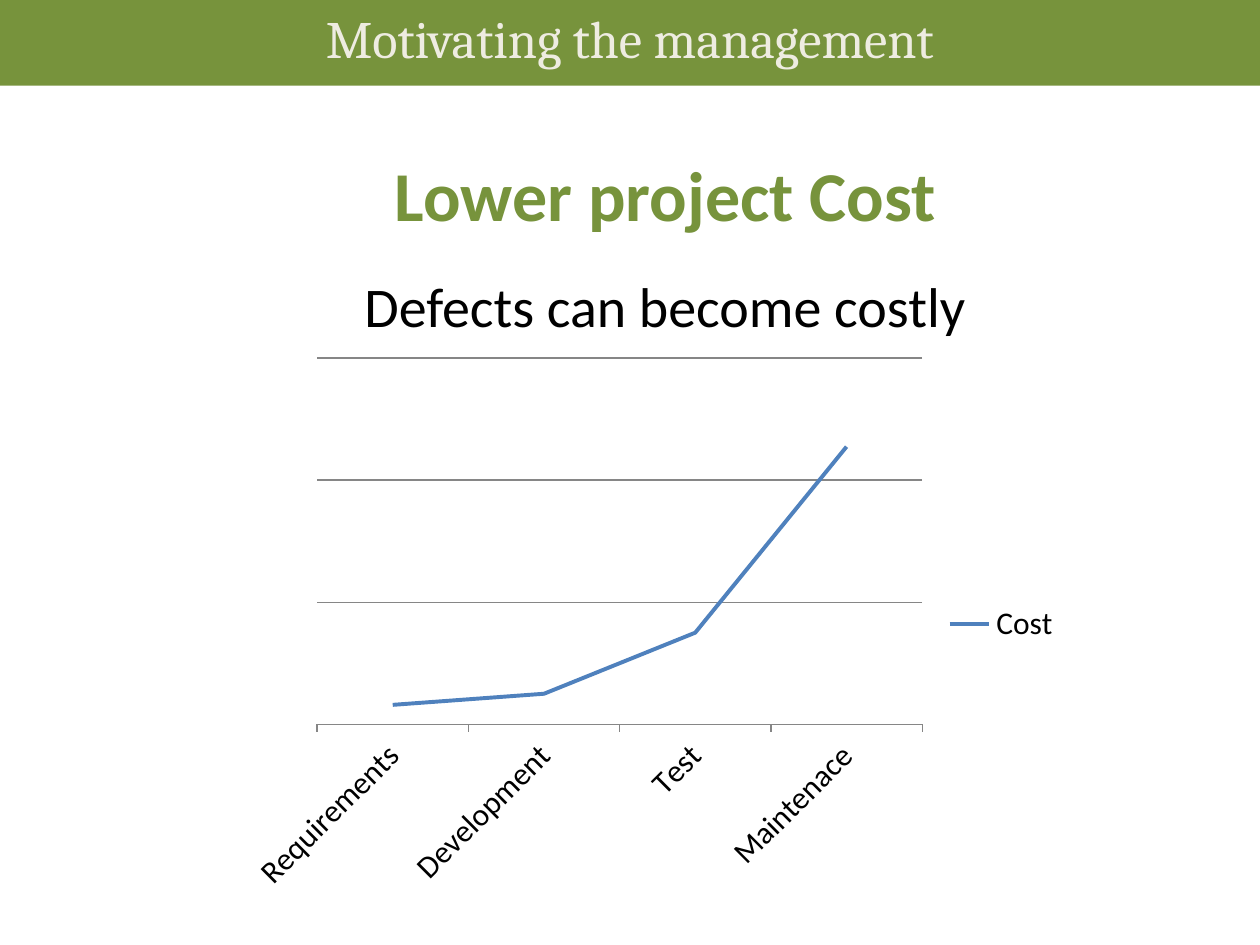
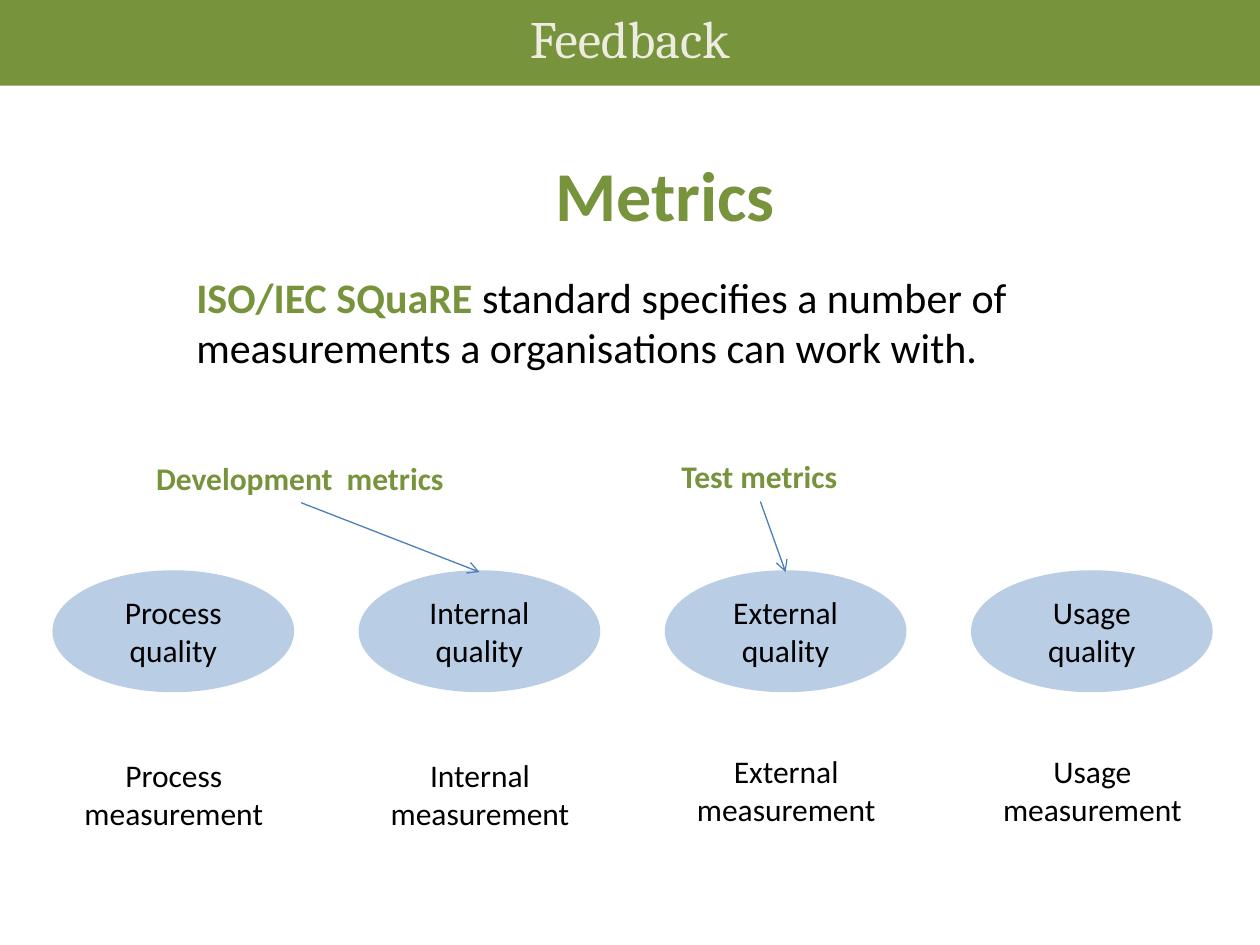
from lxml import etree
from pptx import Presentation
from pptx.chart.data import CategoryChartData
from pptx.dml.color import RGBColor
from pptx.enum import chart as charts, shapes, text
from pptx.oxml import parse_xml
from pptx.oxml.ns import nsdecls, qn
from pptx.util import Inches, Pt

GREEN = RGBColor(0x77, 0x93, 0x3C)
CREAM = RGBColor(0xEE, 0xEC, 0xE1)
BLACK = RGBColor(0, 0, 0)
PALE_BLUE = RGBColor(0xB9, 0xCD, 0xE5)
CHART_BLUE = RGBColor(0x4F, 0x81, 0xBD)
ARROW_BLUE = RGBColor(0x4B, 0x7E, 0xBC)
GREY = RGBColor(0x86, 0x86, 0x86)
CENTER = text.PP_ALIGN.CENTER


def style(paragraph, size, color=BLACK, bold=False, font="Calibri", align=CENTER):
    paragraph.alignment = align
    for run in paragraph.runs:
        run.font.size = Pt(size)
        run.font.name = font
        run.font.bold = bold
        run.font.color.rgb = color


def add_topic_slide(band_title, topic, height):
    """Add the band and body text; return the slide and an empty second paragraph."""
    slide = presentation.slides.add_slide(presentation.slide_layouts[6])
    body = slide.shapes.add_textbox(Inches(1.46), Inches(1.15), Inches(7.64), Inches(height))
    frame = body.text_frame
    frame.word_wrap = True
    frame.text = topic
    style(frame.paragraphs[0], 40, GREEN, True)
    detail = frame.add_paragraph()
    for paragraph in frame.paragraphs:
        paragraph.space_before = Pt(6.4)
        paragraph.space_after = Pt(14.2)

    band = slide.shapes.add_shape(shapes.MSO_SHAPE.RECTANGLE, 0, 0, Inches(10), Inches(0.68))
    band.shadow.inherit = False
    band.fill.solid()
    band.fill.fore_color.rgb = GREEN
    band.line.fill.background()
    band.text_frame.text = band_title
    band.text_frame.vertical_anchor = text.MSO_ANCHOR.TOP
    style(band.text_frame.paragraphs[0], 30, CREAM, font="Cambria")
    return slide, detail


presentation = Presentation()
presentation.slide_width = Inches(10)
presentation.slide_height = Inches(7.5)

# Slide 1: cost of defects
slide, detail = add_topic_slide("Motivating the management", "Lower project Cost", 1.73)
detail.text = "Defects can become costly"
style(detail, 32)

data = CategoryChartData()
data.categories = ["Requirements", "Development", "Test", "Maintenace"]
data.add_series("Cost", [7, 11, 33, 100])
chart = slide.shapes.add_chart(charts.XL_CHART_TYPE.LINE, Inches(1.85), Inches(2.73),
                               Inches(6.67), Inches(4.44), data).chart
chart.has_title = False
chart.font.size = Pt(18)
chart.font.name = "Calibri"
chart.font.color.rgb = BLACK
chart.has_legend = True
chart.legend.position = charts.XL_LEGEND_POSITION.RIGHT
chart.legend.include_in_layout = False

plot = chart.plots[0]
plot.vary_by_categories = False
cost = plot.series[0]
cost.smooth = False
cost.marker.style = charts.XL_MARKER_STYLE.NONE
cost.format.line.color.rgb = CHART_BLUE
cost.format.line.width = Pt(2.25)

value_axis = chart.value_axis
value_axis.minimum_scale = 0
value_axis.maximum_scale = 133
value_axis.major_unit = 44
value_axis.has_major_gridlines = True
value_axis.major_gridlines.format.line.color.rgb = GREY
value_axis.visible = False
category_axis = chart.category_axis
category_axis.major_tick_mark = charts.XL_TICK_MARK.OUTSIDE
category_axis.format.line.color.rgb = GREY
category_axis.tick_labels.font.size = Pt(18)
category_axis._element.find(qn("c:txPr")).find(qn("a:bodyPr")).set("rot", "-2700000")

# Fixed plot area, so the slanted labels fit below it
plot_area = plot._element.getparent()
for layout in plot_area.findall(qn("c:layout")):
    plot_area.remove(layout)
plot_area.insert(0, parse_xml(
    f'<c:layout {nsdecls("c")}><c:manualLayout><c:layoutTarget val="inner"/>'
    '<c:xMode val="edge"/><c:yMode val="edge"/><c:x val="0.1"/><c:y val="0.02"/>'
    '<c:w val="0.72"/><c:h val="0.66"/></c:manualLayout></c:layout>'))

# Slide 2: metrics
slide, detail = add_topic_slide("Feedback", "Metrics", 2.36)
standard = detail.add_run()
standard.text = "ISO/IEC SQuaRE"
detail.add_run().text = " standard specifies a number of measurements a organisations can work with."
style(detail, 24, align=text.PP_ALIGN.LEFT)
standard.font.bold = True
standard.font.color.rgb = GREEN

ellipses = {}
for column, (kind, label_top) in enumerate(
        [("Process", 5.95), ("Internal", 5.95), ("External", 5.92), ("Usage", 5.92)]):
    left = 0.43 + 2.43 * column
    ellipse = slide.shapes.add_shape(shapes.MSO_SHAPE.OVAL, Inches(left), Inches(4.54),
                                     Inches(1.89), Inches(0.94))
    ellipse.shadow.inherit = False
    ellipse.fill.solid()
    ellipse.fill.fore_color.rgb = PALE_BLUE
    ellipse.line.color.rgb = PALE_BLUE
    ellipse.line.width = Pt(2)
    ellipse.text_frame.text = f"{kind} quality"
    ellipse.text_frame.vertical_anchor = text.MSO_ANCHOR.MIDDLE
    style(ellipse.text_frame.paragraphs[0], 18)
    ellipses[kind] = ellipse

    label = slide.shapes.add_textbox(Inches(left + 0.13), Inches(label_top),
                                     Inches(1.64), Inches(0.71))
    label.text_frame.word_wrap = False
    label.text_frame.text = f"{kind}\nmeasurement"
    for paragraph in label.text_frame.paragraphs:
        style(paragraph, 18)

for caption, left, top, width, kind in [("Development  metrics", 1.14, 3.59, 2.5, "Internal"),
                                        ("Test metrics", 5.31, 3.58, 1.45, "External")]:
    metric = slide.shapes.add_textbox(Inches(left), Inches(top), Inches(width), Inches(0.4))
    metric.text_frame.word_wrap = False
    metric.text_frame.text = caption
    style(metric.text_frame.paragraphs[0], 18, GREEN, True, align=text.PP_ALIGN.LEFT)

    arrow = slide.shapes.add_connector(shapes.MSO_CONNECTOR.STRAIGHT, 0, 0, 0, 0)
    arrow.begin_connect(metric, 2)
    arrow.end_connect(ellipses[kind], 0)
    arrow.line.color.rgb = ARROW_BLUE
    arrow.line.width = Pt(0.75)
    etree.SubElement(arrow.line._get_or_add_ln(), qn("a:tailEnd"), type="arrow")
    etree.SubElement(arrow._element.spPr, qn("a:effectLst"))

presentation.save("out.pptx")
